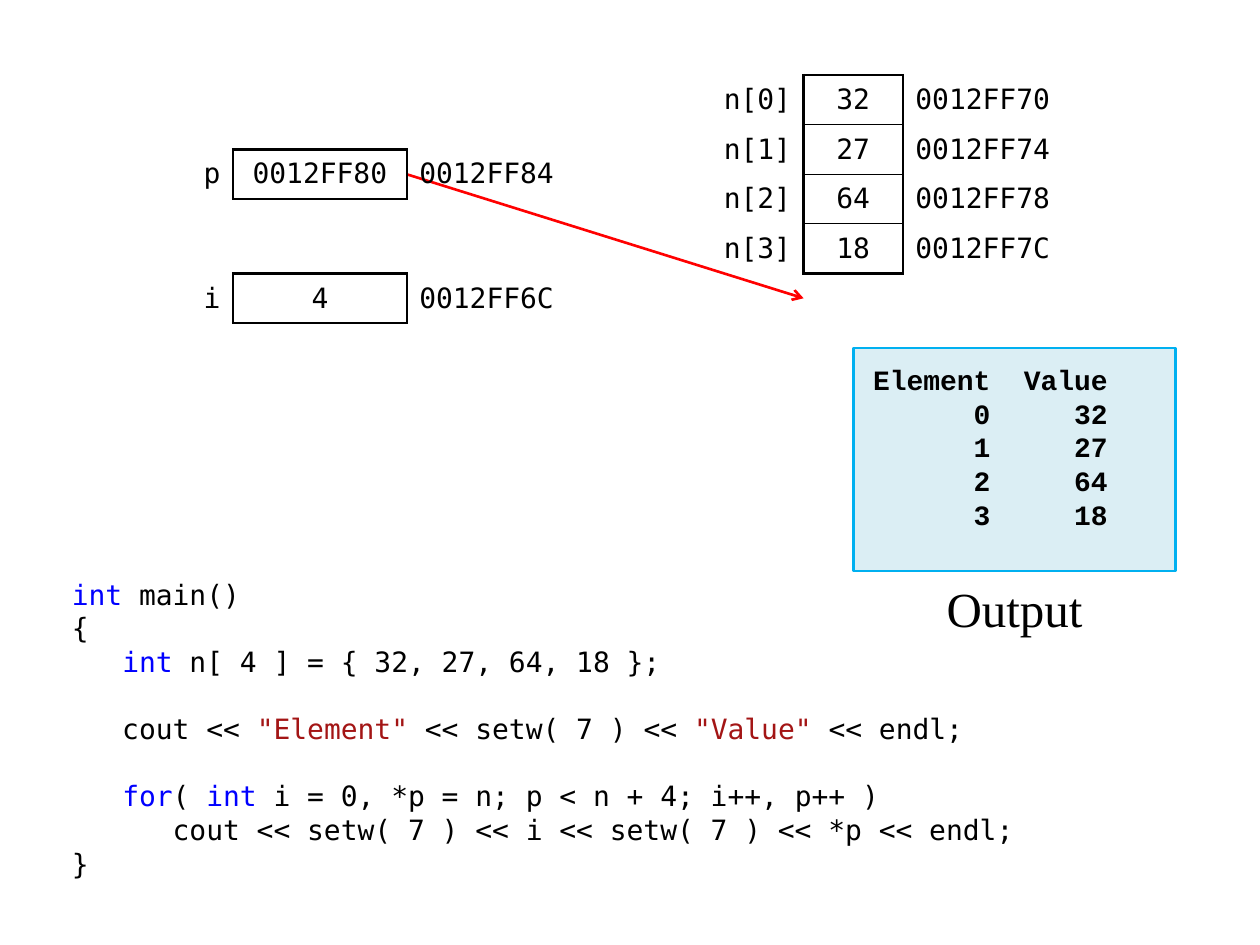
from lxml import etree
from pptx import Presentation
from pptx.dml.color import RGBColor
from pptx.enum.shapes import MSO_CONNECTOR, MSO_SHAPE
from pptx.enum.text import MSO_ANCHOR, PP_ALIGN
from pptx.oxml.ns import qn
from pptx.util import Pt

LEFT, CENTER, RIGHT = PP_ALIGN.LEFT, PP_ALIGN.CENTER, PP_ALIGN.RIGHT
TOP, MIDDLE = MSO_ANCHOR.TOP, MSO_ANCHOR.MIDDLE
RECTANGLE, STRAIGHT = MSO_SHAPE.RECTANGLE, MSO_CONNECTOR.STRAIGHT

BLACK = RGBColor(0x00, 0x00, 0x00)
KEYWORD = RGBColor(0x00, 0x00, 0xFF)
STRING = RGBColor(0xA3, 0x15, 0x15)
ARROW_RED = RGBColor(0xFF, 0x00, 0x00)
PANEL_FILL = RGBColor(0xDB, 0xEE, 0xF4)
PANEL_LINE = RGBColor(0x00, 0xB0, 0xF0)

CODE_FONT, CONSOLE_FONT, LABEL_FONT = "DejaVu Sans Mono", "Courier New", "Times New Roman"
NO_STYLE = "{2D5ABB26-0587-4C30-8999-92F81FD0307C}"
TEXT_SIZE, LINE_PITCH = 16, 19.2
THICK, THIN = 1.5, 0.75

# Everything sits on a grid of UNIT points, counted from the array table's corner.
UNIT, GRID_LEFT, GRID_TOP = 28.35, 360, 42.9


def place(column, row, *size):
    """Turn a grid position and an optional size in units into lengths."""
    corner = [Pt(GRID_LEFT + column * UNIT), Pt(GRID_TOP + row * UNIT)]
    return corner + [Pt(units * UNIT) for units in size]


def write(paragraph, runs, font_name, size=TEXT_SIZE, bold=False):
    """Add (text, colour) runs to a paragraph in one font."""
    for text, colour in runs:
        run = paragraph.add_run()
        run.text = text
        run.font.name = font_name
        run.font.size = Pt(size)
        run.font.bold = bold
        run.font.color.rgb = colour


presentation = Presentation()
presentation.slide_width, presentation.slide_height = Pt(720), Pt(540)
slide = presentation.slides.add_slide(presentation.slide_layouts[6])
shapes = slide.shapes

# Program listing and console output
code_lines = [
    [("int", KEYWORD), (" main()", BLACK)],
    [("{", BLACK)],
    [("   ", BLACK), ("int", KEYWORD), (" n[ 4 ] = { 32, 27, 64, 18 };", BLACK)],
    [],
    [("   cout << ", BLACK), ('"Element"', STRING), (" << setw( 7 ) << ", BLACK),
     ('"Value"', STRING), (" << endl;", BLACK)],
    [],
    [("   ", BLACK), ("for", KEYWORD), ("( ", BLACK), ("int ", KEYWORD),
     ("i = 0, *p = n; p < n + 4; i++, p++ )", BLACK)],
    [("      cout << setw( 7 ) << i << setw( 7 ) << *p << endl;", BLACK)],
    [("}", BLACK)],
]
values = [32, 27, 64, 18]
console_lines = [[("Element  Value", BLACK)]]
console_lines += [[(f"{index:7}{value:7}", BLACK)] for index, value in enumerate(values)]

code_box = shapes.add_textbox(*place(-11.5, 10, 19.5, 6.5))
panel = shapes.add_shape(RECTANGLE, *place(4.5, 5.5, 6.5, 4.5))
panel.shadow.inherit = False
panel.fill.solid()
panel.fill.fore_color.rgb = PANEL_FILL
panel.line.color.rgb = PANEL_LINE
panel.line.width = Pt(1.5)
panel.text_frame.margin_left = Pt(11.34)
panel.text_frame.margin_top = Pt(8.5)

for shape, lines, font_name, bold in (
    (code_box, code_lines, CODE_FONT, False),
    (panel, console_lines, CONSOLE_FONT, True),
):
    frame = shape.text_frame
    frame.word_wrap = True
    frame.vertical_anchor = TOP
    for number, runs in enumerate(lines):
        paragraph = frame.add_paragraph() if number else frame.paragraphs[0]
        paragraph.alignment = LEFT
        paragraph.line_spacing = Pt(LINE_PITCH)
        paragraph.font.size = Pt(TEXT_SIZE)
        write(paragraph, runs, font_name, bold=bold)

label = shapes.add_textbox(*place(5.5, 10, 4.5, 1.5))
label.text_frame.word_wrap = True
label.text_frame.vertical_anchor = MIDDLE
label.text_frame.paragraphs[0].alignment = CENTER
write(label.text_frame.paragraphs[0], [("Output", BLACK)], LABEL_FONT, size=28)

# Pointer arrow
arrow = shapes.add_connector(STRAIGHT, *place(-4.5, 2), *place(3.5, 4.5))
arrow.line.color.rgb = ARROW_RED
arrow.line.width = Pt(1.5)
etree.SubElement(arrow.line._get_or_add_ln(), qn("a:tailEnd"), type="arrow")
etree.SubElement(arrow._element.spPr, qn("a:effectLst"))

# Memory tables: name, boxed value, address
addresses = ["0012FF70", "0012FF74", "0012FF78", "0012FF7C"]
array_rows = [
    ["", f"n[{index}]", str(value), address]
    for index, (value, address) in enumerate(zip(values, addresses))
]
memory_tables = [
    (0, 0, [1.5, 2, 2, 3.5], array_rows, 2.88),
    (-9, 1.5, [1, 3.5, 3.5], [["p", "0012FF80", "0012FF84"]], 0),
    (-9, 4, [1, 3.5, 3.5], [["i", "4", "0012FF6C"]], 0),
]
for column, row, widths, rows, margin in memory_tables:
    position = place(column, row, sum(widths), len(rows))
    table = shapes.add_table(len(rows), len(widths), *position).table
    table.first_row = table.horz_banding = False
    table._tbl.tblPr.find(qn("a:tableStyleId")).text = NO_STYLE
    for index, width in enumerate(widths):
        table.columns[index].width = Pt(width * UNIT)
    value_column = len(widths) - 2
    for row_index, texts in enumerate(rows):
        table.rows[row_index].height = Pt(UNIT)
        for column_index, text in enumerate(texts):
            cell = table.cell(row_index, column_index)
            cell.vertical_anchor = MIDDLE
            cell.margin_top = cell.margin_bottom = Pt(margin)
            cell.margin_left = cell.margin_right = Pt(7.2)
            offset = column_index - value_column
            if offset == 0:
                cell.margin_left = cell.margin_right = Pt(5.76)
                borders = {
                    "L": THICK,
                    "R": THICK,
                    "T": THIN if row_index else THICK,
                    "B": THICK if row_index == len(rows) - 1 else THIN,
                }
            else:
                borders = {-1: {"R": THICK}, 1: {"L": THICK}}.get(offset, {})
            properties = cell._tc.get_or_add_tcPr()
            for side, thickness in borders.items():
                border = etree.SubElement(properties, qn(f"a:ln{side}"), w=str(Pt(thickness)))
                fill = etree.SubElement(border, qn("a:solidFill"))
                etree.SubElement(fill, qn("a:srgbClr"), val=str(BLACK))
            cell.fill.background()
            if text:
                paragraph = cell.text_frame.paragraphs[0]
                paragraph.alignment = {-1: RIGHT, 0: CENTER, 1: LEFT}[offset]
                write(paragraph, [(text, BLACK)], CODE_FONT)

presentation.save("out.pptx")
